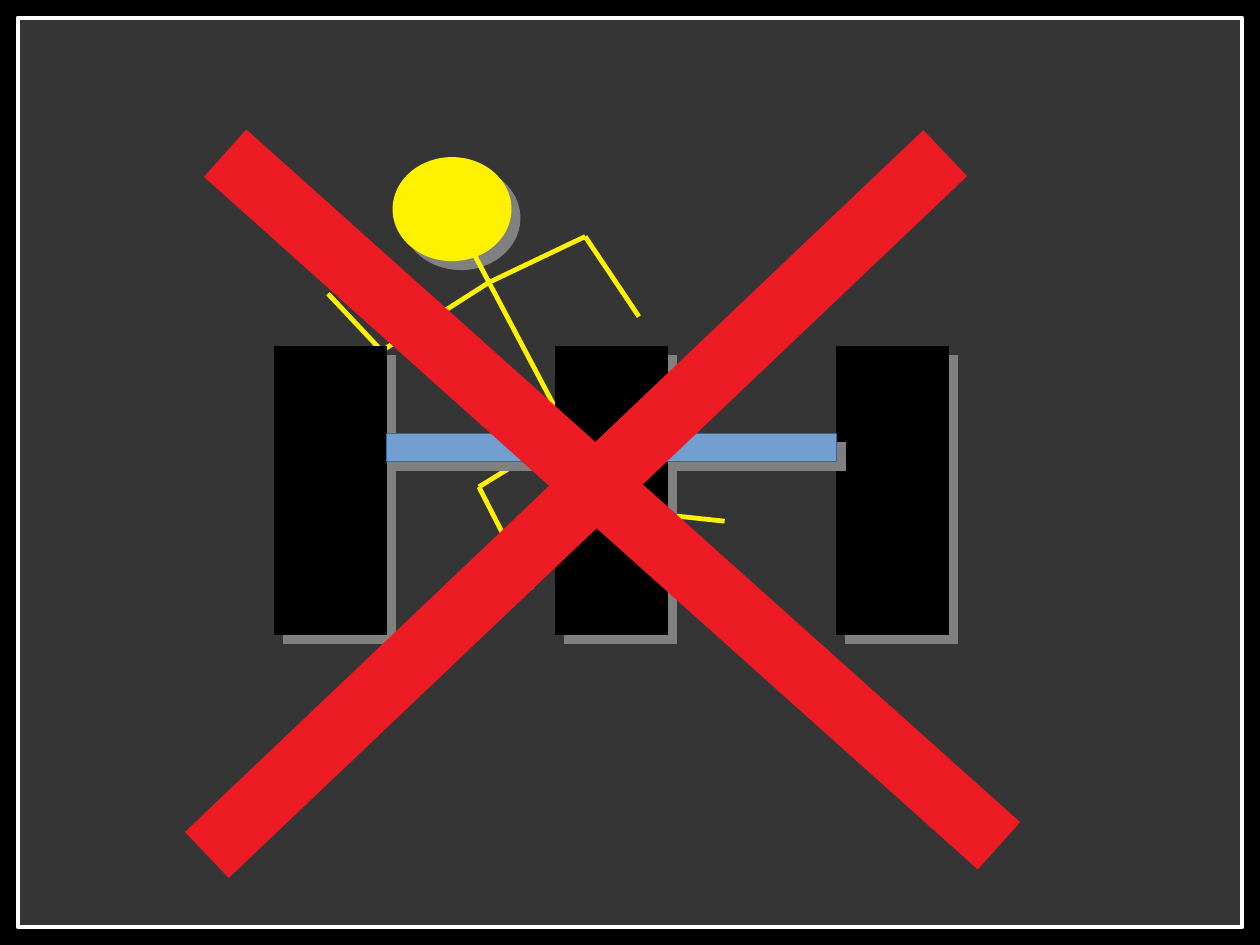
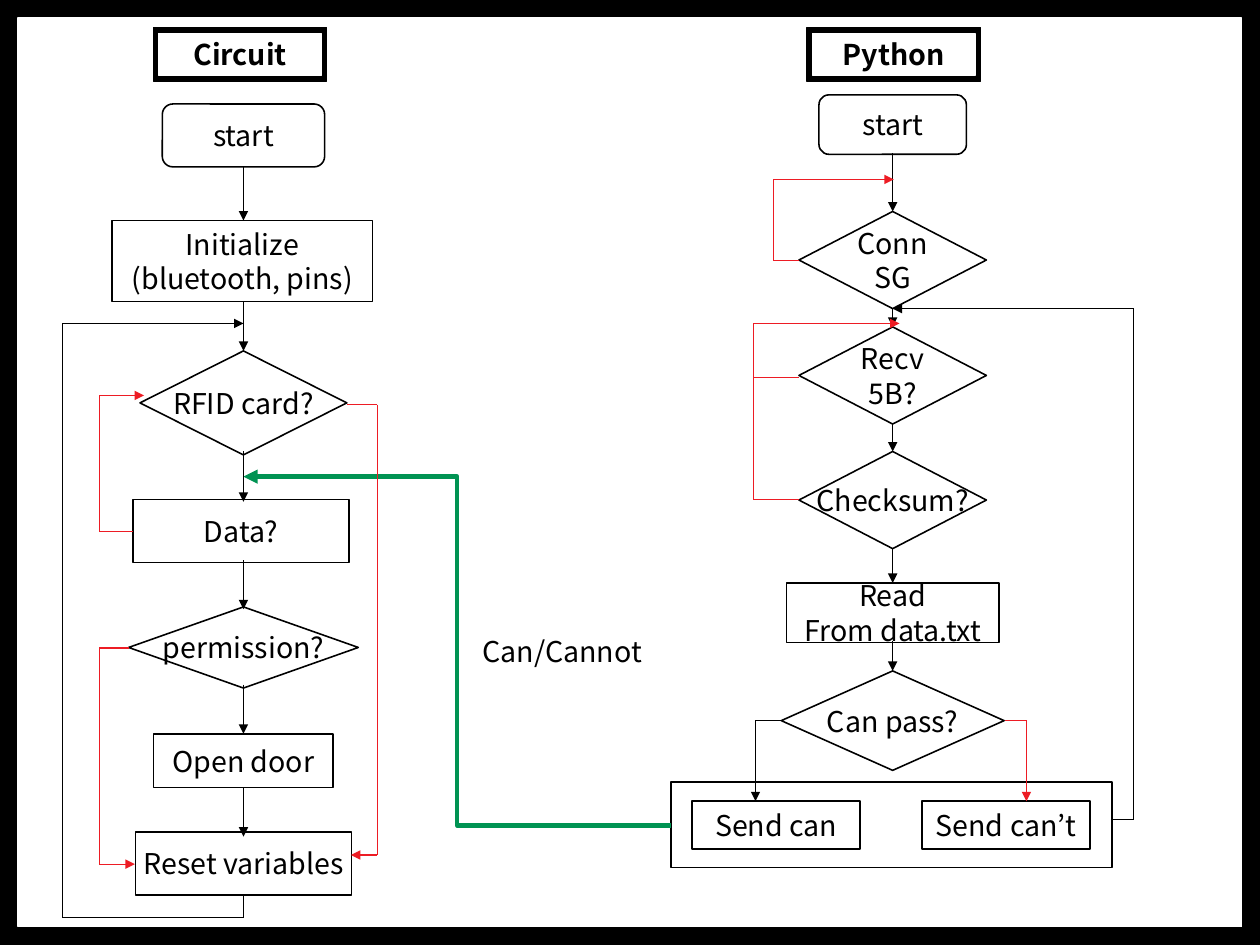
from itertools import pairwise

from lxml import etree
from pptx import Presentation
from pptx.dml.color import RGBColor
from pptx.enum.shapes import MSO_CONNECTOR, MSO_SHAPE
from pptx.enum.text import MSO_ANCHOR, PP_ALIGN
from pptx.oxml.ns import qn
from pptx.util import Inches, Pt

RECT = MSO_SHAPE.RECTANGLE
ROUNDED = MSO_SHAPE.ROUNDED_RECTANGLE
DIAMOND = MSO_SHAPE.DIAMOND
OVAL = MSO_SHAPE.OVAL
STRAIGHT = MSO_CONNECTOR.STRAIGHT
ELBOW = MSO_CONNECTOR.ELBOW
MIDDLE = MSO_ANCHOR.MIDDLE
CENTER = PP_ALIGN.CENTER

CM_PER_INCH = 2.54
WIDTH, HEIGHT = 28 / CM_PER_INCH, 21 / CM_PER_INCH
MARGIN = 0.4 / CM_PER_INCH
FONT = "Noto Sans CJK KR"
BLACK, WHITE = "000000", "FFFFFF"
RED, GREEN, YELLOW = "ED1C24", "009353", "FFF200"
GRAY, SHADOW = "666666", "808080"
AXLE_BLUE, AXLE_EDGE = "729FCF", "3465A4"


def rgb(value):
    return RGBColor.from_string(value)


def write(shape, text, size=18, bold=False, color=BLACK):
    """Put centred text in a shape, one paragraph per line."""
    frame = shape.text_frame
    frame.word_wrap = False
    frame.vertical_anchor = MIDDLE
    frame.margin_left = frame.margin_right = Inches(0)
    frame.margin_top = frame.margin_bottom = Inches(0)
    for index, line in enumerate(text.split("\n")):
        paragraph = frame.add_paragraph() if index else frame.paragraphs[0]
        paragraph.alignment = CENTER
        run = paragraph.add_run()
        run.text = line
        run.font.name = FONT
        run.font.size = Pt(size)
        run.font.bold = bold
        run.font.color.rgb = rgb(color)


class Deck:
    def __init__(self):
        self.presentation = Presentation()
        self.presentation.slide_width = Inches(WIDTH)
        self.presentation.slide_height = Inches(HEIGHT)
        self.slide = None

    def new_slide(self, panel, edge=0.75, opacity=100):
        """Start a slide: a panel on a black ground."""
        layout = self.presentation.slide_layouts[6]
        self.slide = self.presentation.slides.add_slide(layout)
        self.shape(RECT, 0, 0, WIDTH, HEIGHT, BLACK)
        self.shape(RECT, MARGIN, MARGIN, WIDTH - 2 * MARGIN, HEIGHT - 2 * MARGIN,
                   panel, WHITE, edge, opacity=opacity)

    def shape(self, kind, left, top, width, height, fill=WHITE, line=BLACK,
              weight=0.75, opacity=100, shadow=False):
        shape = self.slide.shapes.add_shape(
            kind, Inches(left), Inches(top), Inches(width), Inches(height))
        shape.fill.solid()
        shape.fill.fore_color.rgb = rgb(fill)
        shape.line.color.rgb = rgb(line)
        shape.line.width = Pt(weight)
        shape.shadow.inherit = False
        properties = shape._element.spPr
        if opacity < 100:
            color = properties.find(qn("a:solidFill"))[0]
            etree.SubElement(color, qn("a:alpha"), val=str(opacity * 1000))
        if shadow:
            outer = etree.SubElement(
                properties.find(qn("a:effectLst")), qn("a:outerShdw"),
                blurRad="0", dist=str(Pt(8)), dir=str(45 * 60000),
                algn="tl", rotWithShape="0")
            etree.SubElement(outer, qn("a:srgbClr"), val=SHADOW)
        return shape

    def step(self, kind, center, top, width, height, text):
        """Add a flowchart step centred on a column."""
        box = self.shape(kind, center - width / 2, top, width, height, weight=1)
        write(box, text)

    def heading(self, center, text):
        width, height, top, border = 1.52, 0.47, 0.24, 0.05
        left = center - width / 2
        self.shape(RECT, left, top, width, height, BLACK)
        face = self.shape(RECT, left + border, top + border, width - 2 * border,
                          height - 2 * border, WHITE, WHITE)
        write(face, text, bold=True)

    def caption(self, left, top, width, height, text):
        box = self.slide.shapes.add_textbox(
            Inches(left), Inches(top), Inches(width), Inches(height))
        write(box, text)

    def line(self, start, end, color=BLACK, weight=0.75, arrow=False, kind=STRAIGHT):
        connector = self.slide.shapes.add_connector(
            kind, *(Inches(value) for value in (*start, *end)))
        connector.line.color.rgb = rgb(color)
        connector.line.width = Pt(weight)
        properties = connector._element.spPr
        if arrow:
            etree.SubElement(properties.find(qn("a:ln")), qn("a:tailEnd"),
                             type="triangle")
        etree.SubElement(properties, qn("a:effectLst"))

    def route(self, points, color=BLACK, weight=0.75, arrow=True):
        """Join points with lines; the last may carry an arrowhead."""
        for start, end in pairwise(points):
            self.line(start, end, color, weight, arrow and end == points[-1])


def crossed_out_rider(deck):
    deck.new_slide(GRAY, edge=3, opacity=52)
    deck.shape(OVAL, 3.44, 1.38, 1.03, 0.9, YELLOW, YELLOW, shadow=True)
    neck, shoulder, hip = (4.13, 2.19), (4.28, 2.47), (4.97, 3.78)
    limbs = [
        [neck, hip],
        [shoulder, (3.34, 3.07), (2.87, 2.57)],
        [shoulder, (5.12, 2.07), (5.59, 2.77)],
        [hip, (4.19, 4.26), (4.65, 5.16)],
        [(5.4, 4.46), (6.34, 4.56)],
    ]
    for limb in limbs:
        deck.route(limb, YELLOW, 3, arrow=False)

    wheel_left, wheel_width, pitch = 2.4, 0.98, 2.46
    for index in range(3):
        deck.shape(RECT, wheel_left + index * pitch, 3.03, wheel_width, 2.52,
                   BLACK, shadow=True)
    for index in range(2):
        deck.shape(RECT, wheel_left + wheel_width + index * pitch, 3.79,
                   pitch - wheel_width, 0.25, AXLE_BLUE, AXLE_EDGE, shadow=True)

    deck.line((1.97, 1.34), (8.74, 7.4), RED, 40)
    deck.line((1.81, 7.48), (8.27, 1.34), RED, 40)


def door_flowcharts(deck):
    deck.new_slide(WHITE)
    board, script = 2.13, 7.81
    steps = [
        (ROUNDED, board, 0.91, 1.42, 0.55, "start"),
        (ROUNDED, script, 0.83, 1.29, 0.52, "start"),
        (RECT, board - 0.01, 1.93, 2.28, 0.71, "Initialize\n(bluetooth, pins)"),
        (RECT, board, 6.42, 1.57, 0.47, "Open door"),
        (DIAMOND, board, 3.07, 1.81, 0.91, "RFID card?"),
        (RECT, board - 0.02, 4.37, 1.89, 0.55, "Data?"),
        (RECT, board, 7.28, 1.89, 0.55, "Reset variables"),
        (DIAMOND, board, 5.31, 2.01, 0.71, "permission?"),
        (RECT, script, 5.1, 1.86, 0.52, "Read\nFrom data.txt"),
        (DIAMOND, script, 1.85, 1.64, 0.85, "Conn\nSG"),
        (DIAMOND, script, 2.86, 1.64, 0.85, "Recv\n5B?"),
        (DIAMOND, script, 3.95, 1.64, 0.85, "Checksum?"),
        (DIAMOND, script, 5.87, 1.95, 0.87, "Can pass?"),
    ]
    for step in steps:
        deck.step(*step)
    deck.shape(RECT, 5.87, 6.84, 3.86, 0.75, weight=1)
    for center, answer in ((6.79, "Send can"), (8.8, "Send can’t")):
        deck.step(RECT, center, 7.01, 1.47, 0.42, answer)

    deck.line((5.87, 7.22), (board, 4.17), GREEN, 3, arrow=True, kind=ELBOW)
    deck.caption(4.12, 5.5, 1.6, 0.4, "Can/Cannot")
    deck.heading(2.1, "Circuit")
    deck.heading(7.82, "Python")

    drops = {
        board: [(1.46, 1.93), (2.64, 3.07), (3.95, 4.39), (4.9, 5.33),
                (5.99, 6.42), (6.89, 7.32)],
        script: [(1.34, 1.85), (2.7, 2.86), (3.71, 3.95), (4.8, 5.1),
                 (5.61, 5.87)],
    }
    for center, spans in drops.items():
        for top, bottom in spans:
            deck.line((center, top), (center, bottom), arrow=True)

    black_routes = [
        [(9.72, 7.17), (9.92, 7.17), (9.92, 2.7), (script, 2.7)],
        [(6.84, 6.3), (6.61, 6.3), (6.61, 7.01)],
        [(board, 7.83), (board, 8.03), (0.55, 8.03), (0.55, 2.83), (board, 2.83)],
    ]
    red_routes = [
        [(6.99, 2.28), (6.77, 2.28), (6.77, 1.57), (7.82, 1.57)],
        [(8.79, 6.3), (8.98, 6.3), (8.98, 7.01)],
        [(6.99, 4.37), (6.59, 4.37), (6.59, 3.29), (6.59, 2.83), (7.87, 2.83)],
        [(3.04, 3.54), (3.3, 3.54), (3.3, 7.48), (3.07, 7.48)],
        [(1.16, 4.65), (0.87, 4.65), (0.87, 3.46), (1.26, 3.46)],
        [(1.13, 5.67), (0.87, 5.67), (0.87, 7.56), (1.18, 7.56)],
    ]
    for color, routes in ((BLACK, black_routes), (RED, red_routes)):
        for points in routes:
            deck.route(points, color)
    deck.line((6.59, 3.3), (6.99, 3.3), RED)


def main():
    deck = Deck()
    crossed_out_rider(deck)
    door_flowcharts(deck)
    deck.presentation.save("out.pptx")


if __name__ == "__main__":
    main()
